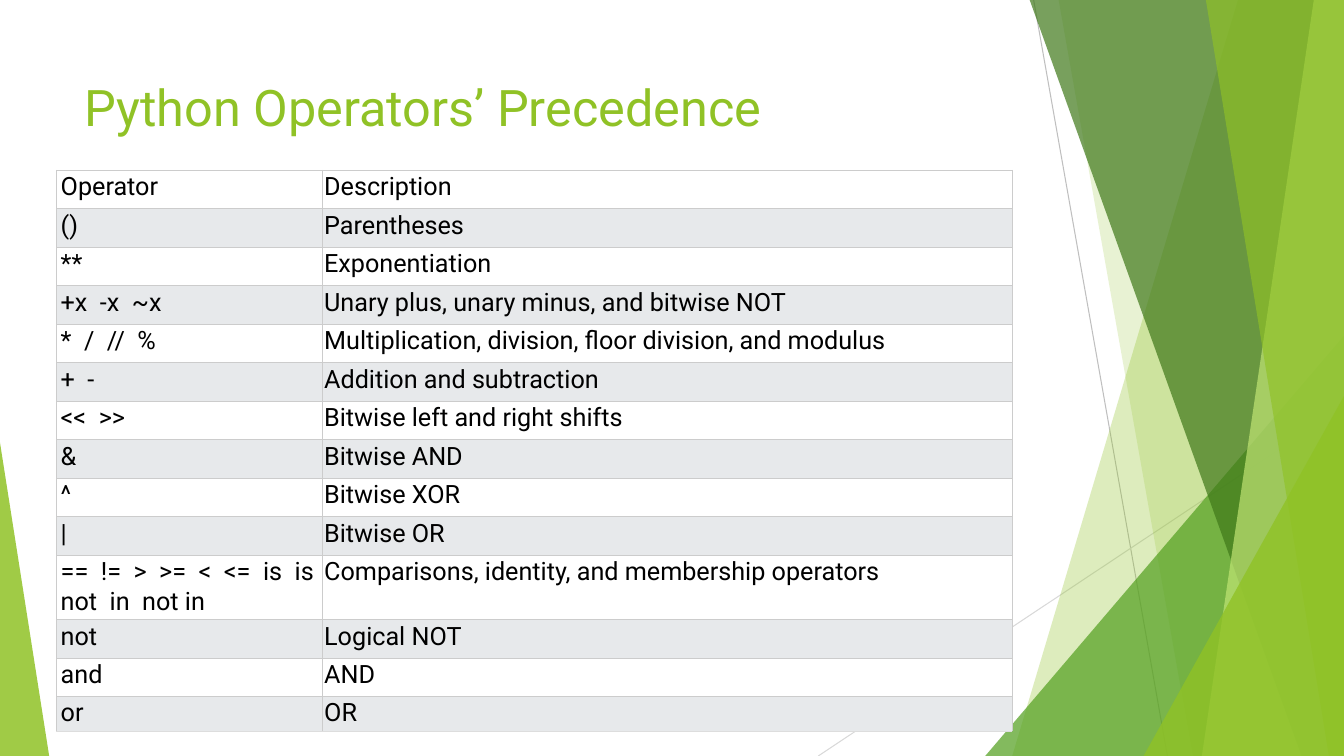
from lxml.etree import SubElement
from pptx import Presentation
from pptx.dml.color import RGBColor
from pptx.enum.shapes import MSO_CONNECTOR as CONN, MSO_SHAPE as SHAPE
from pptx.enum.text import MSO_ANCHOR as ANCHOR
from pptx.oxml import parse_xml
from pptx.oxml.ns import nsdecls, qn
from pptx.util import Cm, Pt

FONT = "Roboto"
GREEN = "90C226"
GAP = "  "  # two no-break spaces
WIDTH, HEIGHT = 33.87, 19.05

OPERATORS = [
    (["Operator"], "Description"),
    (["()"], "Parentheses"),
    (["**"], "Exponentiation"),
    (["+x", "-x", "~x"], "Unary plus, unary minus, and bitwise NOT"),
    (["*", "/", "//", "%"], "Multiplication, division, floor division, and modulus"),
    (["+", "-"], "Addition and subtraction"),
    (["<<", ">>"], "Bitwise left and right shifts"),
    (["&"], "Bitwise AND"),
    (["^"], "Bitwise XOR"),
    (["|"], "Bitwise OR"),
    (["==", "!=", ">", ">=", "<", "<=", "is", "is not", "in", "not in"],
     "Comparisons, identity, and membership operators"),
    (["not"], "Logical NOT"),
    (["and"], "AND"),
    (["or"], "OR"),
]
ROW_HEIGHT, COMPARISON_HEIGHT, LAST_HEIGHT = 0.97, 1.6, 0.86


def rgb(color):
    return RGBColor.from_string(color)


def set_font(p, size, color):
    p.font.name = FONT
    p.font.size = Pt(size)
    p.font.color.rgb = rgb(color)


def paint(sp, color, opacity):
    """Flat translucent fill without outline or shadow."""
    sp.shadow.inherit = False
    sp.line.fill.background()
    sp.fill.solid()
    sp.fill.fore_color.rgb = rgb(color)
    clr = sp.fill._xPr.find(qn("a:solidFill"))[0]
    SubElement(clr, qn("a:alpha")).set("val", str(opacity * 1000))


def add_line(s, x1, y1, x2, y2, color):
    line = s.shapes.add_connector(CONN.STRAIGHT, Cm(x1), Cm(y1), Cm(x2), Cm(y2))
    line.line.color.rgb = rgb(color)
    line.line.width = Pt(0.75)
    SubElement(line._element.spPr, qn("a:effectLst"))


def add_corner(s, x, y, w, h, apex, color, opacity):
    """Right triangle whose apex is at 0 (left) or 1 (right)."""
    sp = s.shapes.add_shape(SHAPE.ISOSCELES_TRIANGLE, Cm(x), Cm(y), Cm(w), Cm(h))
    sp.adjustments[0] = apex
    paint(sp, color, opacity)


def add_facets(s, x, y, w, h):
    """Overlapping green facets, measured back from the box's right edge."""
    right, bottom = x + w, y + h

    def band(top_w, bottom_w, color, opacity):
        fb = s.shapes.build_freeform(Cm(right - top_w), Cm(y))
        fb.add_line_segments([(Cm(right), Cm(y)), (Cm(right), Cm(bottom)),
                              (Cm(right - bottom_w), Cm(bottom))])
        paint(fb.convert_to_shape(), color, opacity)

    def corner(tri_w, tri_h, color, opacity):
        add_corner(s, right - tri_w, bottom - tri_h, tri_w, tri_h, 1, color, opacity)

    add_line(s, right - 7.82, y, right - 4.45, bottom, "BFBFBF")
    add_line(s, right, y + 10.24, x, bottom, "D9D9D9")
    band(2.67, 8.36, GREEN, 30)
    band(7.19, 3.81, GREEN, 20)
    corner(9.04, 10.59, "54A021", 72)
    band(7.92, 1.07, "3F7819", 70)
    band(0.76, 3.58, "C0E474", 70)
    band(3.48, 0.38, GREEN, 65)
    corner(5.05, 9.07, GREEN, 80)


def add_title(s, x, y, w, h):
    tf = s.shapes.add_textbox(Cm(x), Cm(y), Cm(w), Cm(h)).text_frame
    tf.word_wrap = True
    tf.vertical_anchor = ANCHOR.TOP
    p = tf.paragraphs[0]
    p.text = "Python Operators’ Precedence"
    set_font(p, 36, GREEN)


def set_borders(cell, bottom_color):
    tc_pr = cell._tc.get_or_add_tcPr()
    for i, side in enumerate("LRTB"):
        color = bottom_color if side == "B" else "CCCCCC"
        tc_pr.insert(i, parse_xml(
            f'<a:ln{side} {nsdecls("a")} w="6350"><a:solidFill>'
            f'<a:srgbClr val="{color}"/></a:solidFill></a:ln{side}>'))


def add_operator_table(s, x, y, w, h):
    last = len(OPERATORS) - 1
    table = s.shapes.add_table(last + 1, 2, Cm(x), Cm(y), Cm(w), Cm(h)).table
    table.first_row = table.horz_banding = False
    table.columns[0].width = Cm(6.69)
    table.columns[1].width = Cm(w - 6.69)
    for i, (operators, description) in enumerate(OPERATORS):
        height = COMPARISON_HEIGHT if len(operators) > 4 else ROW_HEIGHT
        table.rows[i].height = Cm(LAST_HEIGHT if i == last else height)
        for j, text in enumerate((GAP.join(operators), description)):
            cell = table.cell(i, j)
            cell.margin_left = Cm(0.05 if j else 0.1)
            cell.margin_top = cell.margin_right = cell.margin_bottom = Cm(0.05)
            cell.vertical_anchor = ANCHOR.TOP
            cell.fill.solid()
            cell.fill.fore_color.rgb = rgb("E7E9EB" if i % 2 else "FFFFFF")
            set_borders(cell, "DDDDDD" if i == last else "CCCCCC")
            p = cell.text_frame.paragraphs[0]
            p.text = text
            set_font(p, 18, "000000")


def main():
    prs = Presentation()
    prs.slide_width, prs.slide_height = Cm(WIDTH), Cm(HEIGHT)
    s = prs.slides.add_slide(prs.slide_layouts[6])
    # Background decoration
    add_facets(s, 20.62, 0, WIDTH - 20.62, HEIGHT)
    add_corner(s, 0, HEIGHT - 7.9, 1.24, 7.9, 0, GREEN, 85)
    # Content
    add_title(s, 1.88, 1.79, 23.88, 3.6)
    add_operator_table(s, 1.43, 4.29, 24.07, 14.1)
    prs.save("out.pptx")


if __name__ == "__main__":
    main()
